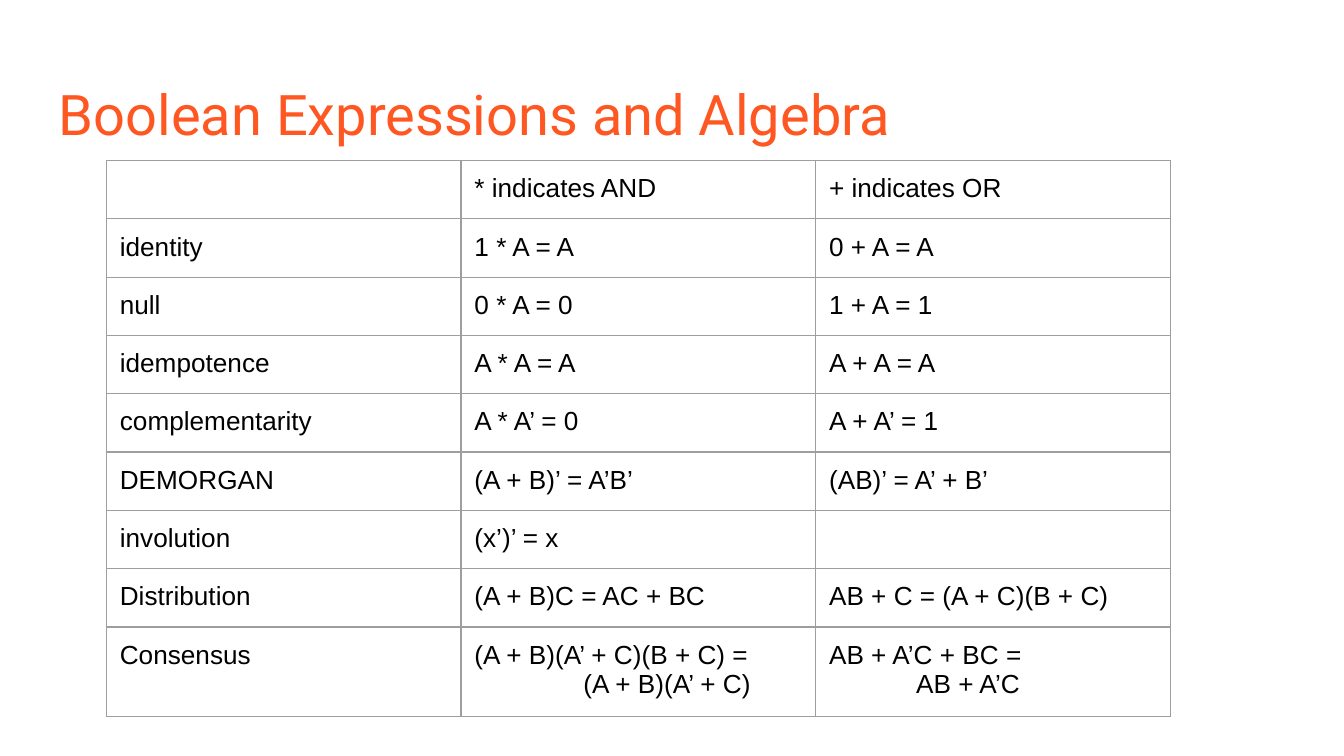
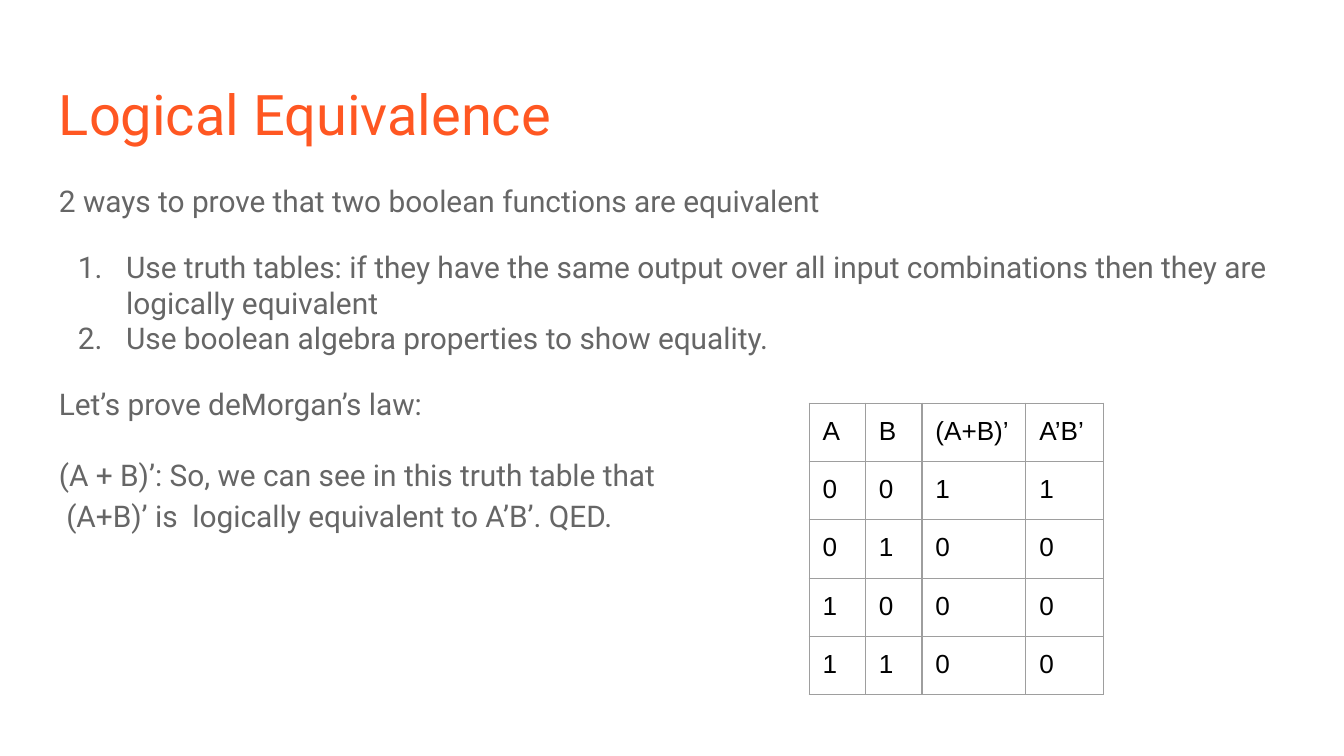
from dataclasses import dataclass

from lxml.etree import SubElement
from pptx import Presentation
from pptx.dml.color import RGBColor
from pptx.enum.text import MSO_ANCHOR
from pptx.oxml.ns import qn
from pptx.util import Pt


@dataclass(frozen=True)
class Theme:
    title_color: str = "FF5722"
    body_color: str = "666666"
    table_color: str = "000000"
    border_color: str = "9E9E9E"
    text_font: str = "Roboto"
    table_font: str = "Arial"
    title_size: int = 30
    body_size: int = 16
    table_size: int = 14
    border_width: float = 0.75
    inset: float = 7.2
    left: float = 24.5
    width: float = 671
    row_height: float = 30


THEME = Theme()

# Content: a "\n" in a law starts a continuation line
BOOLEAN_LAWS = [
    ("", "* indicates AND", "+ indicates OR"),
    ("identity", "1 * A = A", "0 + A = A"),
    ("null", "0 * A = 0", "1 + A = 1"),
    ("idempotence", "A * A = A", "A + A = A"),
    ("complementarity", "A * A’ = 0", "A + A’ = 1"),
    ("DEMORGAN", "(A + B)’ = A’B’", "(AB)’ = A’ + B’"),
    ("involution", "(x’)’ = x", ""),
    ("Distribution", "(A + B)C = AC + BC", "AB + C = (A + C)(B + C)"),
    ("Consensus", "(A + B)(A’ + C)(B + C) =\n(A + B)(A’ + C)",
     "AB + A’C + BC =\nAB + A’C"),
]
CONTINUATION_INDENTS = (0, 58.4, 46.7)

TRUTH_TABLE = [("A", "B", "(A+B)’", "A’B’")] + [
    (str(a), str(b), str(int(not (a or b))), str(int(not a and not b)))
    for a in (0, 1) for b in (0, 1)
]

# Text, numbered, space before, space after, line spacing
PROOF_TEXT = [
    ("2 ways to prove that two boolean functions are equivalent",
     False, 0, 0, 1.0),
    ("Use truth tables: if they have the same output over all input "
     "combinations then they are logically equivalent", True, 16, 0, 1.0),
    ("Use boolean algebra properties to show equality.", True, 0, 0, 1.0),
    ("Let’s prove deMorgan’s law:", False, 16, 0, 1.0),
    ("(A + B)’: So, we can see in this truth table that\v"
     " (A+B)’ is  logically equivalent to A’B’. QED.", False, 16, 16, 1.15),
]


def style_font(font, name, size, color):
    font.name = name
    font.size = Pt(size)
    font.color.rgb = RGBColor.from_string(color)


def set_insets(holder):
    holder.margin_left = holder.margin_right = Pt(THEME.inset)
    holder.margin_top = holder.margin_bottom = Pt(THEME.inset)


def set_indent(paragraph, left, first=0):
    properties = paragraph._p.get_or_add_pPr()
    properties.set("marL", str(Pt(left)))
    properties.set("indent", str(Pt(first)))
    return properties


def add_text_frame(slide, top, height):
    box = slide.shapes.add_textbox(
        Pt(THEME.left), Pt(top), Pt(THEME.width), Pt(height))
    frame = box.text_frame
    frame.word_wrap = True
    frame.vertical_anchor = MSO_ANCHOR.TOP
    set_insets(frame)
    return frame


def add_title(slide, title):
    heading = add_text_frame(slide, 35.3, 45.4).paragraphs[0]
    heading.text = title
    style_font(heading.font, THEME.text_font, THEME.title_size,
               THEME.title_color)


def number_paragraph(paragraph):
    properties = set_indent(paragraph, 36, -25.9)
    color = SubElement(properties, qn("a:buClr"))
    SubElement(color, qn("a:srgbClr"), val=THEME.body_color)
    SubElement(properties, qn("a:buAutoNum"), type="arabicPeriod")


def add_body(slide, entries):
    frame = add_text_frame(slide, 90.7, 269.3)
    for index, (text, numbered, before, after, spacing) in enumerate(entries):
        paragraph = frame.paragraphs[0] if index == 0 else frame.add_paragraph()
        paragraph.text = text
        if numbered:
            number_paragraph(paragraph)
        paragraph.space_before = Pt(before)
        paragraph.space_after = Pt(after)
        paragraph.line_spacing = spacing
        style_font(paragraph.font, THEME.text_font, THEME.body_size,
                   THEME.body_color)


def add_borders(cell):
    properties = cell._tc.get_or_add_tcPr()
    for side in ("lnL", "lnR", "lnT", "lnB"):
        line = SubElement(properties, qn(f"a:{side}"),
                          w=str(Pt(THEME.border_width)))
        fill = SubElement(line, qn("a:solidFill"))
        SubElement(fill, qn("a:srgbClr"), val=THEME.border_color)


def fill_cell(cell, text, continuation_indent):
    set_insets(cell)
    add_borders(cell)
    cell.fill.background()
    cell.text = text
    for index, paragraph in enumerate(cell.text_frame.paragraphs):
        if index:
            set_indent(paragraph, continuation_indent)
        style_font(paragraph.font, THEME.table_font, THEME.table_size,
                   THEME.table_color)
        if not paragraph.runs:
            # An empty cell takes its line height from the end mark
            SubElement(paragraph._p, qn("a:endParaRPr"),
                       sz=str(THEME.table_size * 100))


def add_grid(slide, rows, left, top, widths, indents):
    table = slide.shapes.add_table(
        len(rows), len(widths), Pt(left), Pt(top), Pt(sum(widths)),
        Pt(THEME.row_height * len(rows))).table
    table.first_row = table.horz_banding = False
    for column, width in zip(table.columns, widths):
        column.width = Pt(width)
    for row, values in zip(table.rows, rows):
        row.height = Pt(THEME.row_height)
        for cell, text, indent in zip(row.cells, values, indents):
            fill_cell(cell, text, indent)


def add_slide(deck, title):
    slide = deck.slides.add_slide(deck.slide_layouts[6])
    add_title(slide, title)
    return slide


def main():
    deck = Presentation()
    deck.slide_width, deck.slide_height = Pt(720), Pt(405)

    # Laws of boolean algebra
    algebra = add_slide(deck, "Boolean Expressions and Algebra")
    add_grid(algebra, BOOLEAN_LAWS, 57, 86, (190, 190, 190),
             CONTINUATION_INDENTS)

    # Proof by truth table
    equivalence = add_slide(deck, "Logical Equivalence")
    add_body(equivalence, PROOF_TEXT)
    add_grid(equivalence, TRUTH_TABLE, 433.5, 216, (30.2, 30.2, 55.7, 41.8),
             (0, 0, 0, 0))

    deck.save("out.pptx")


if __name__ == "__main__":
    main()
